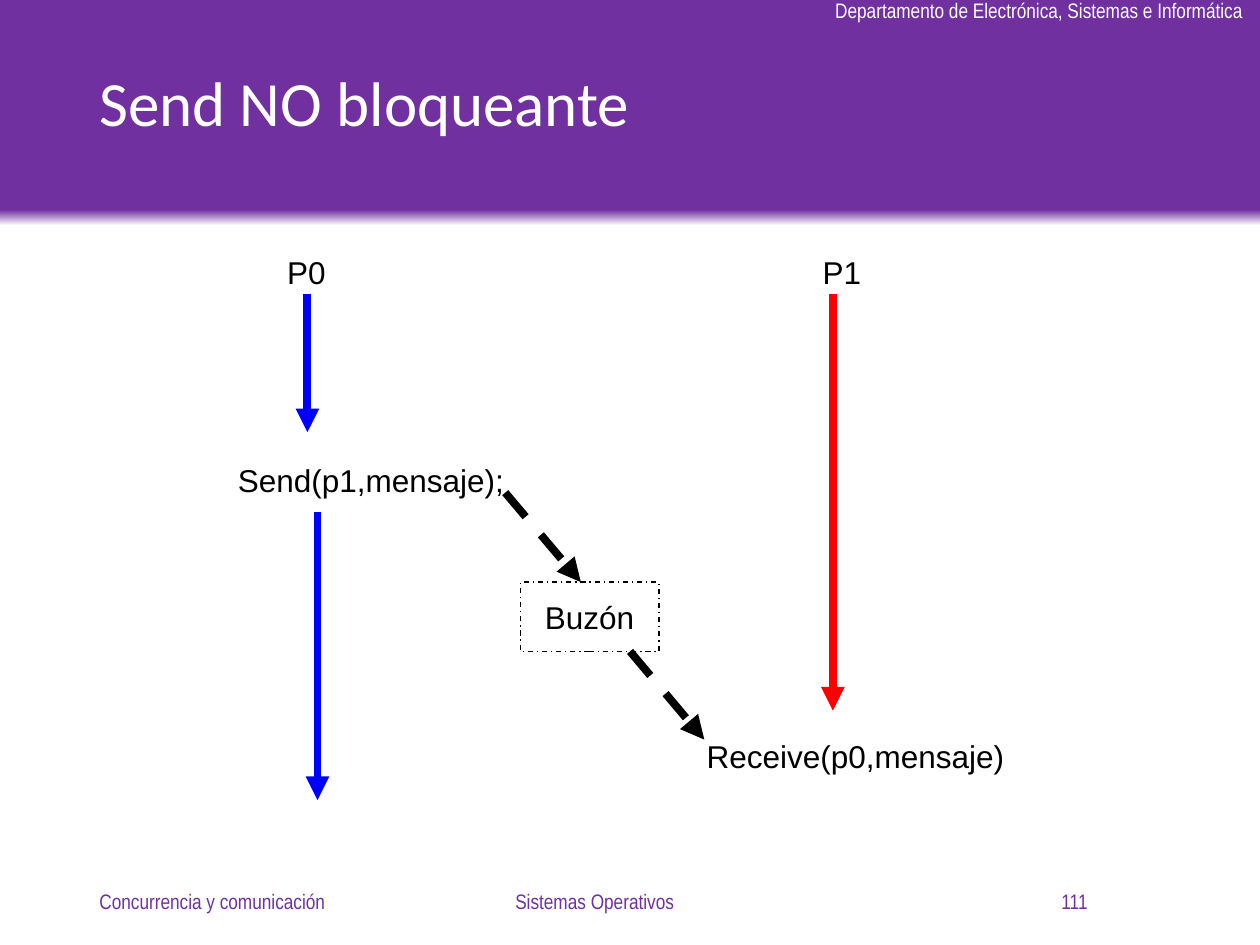
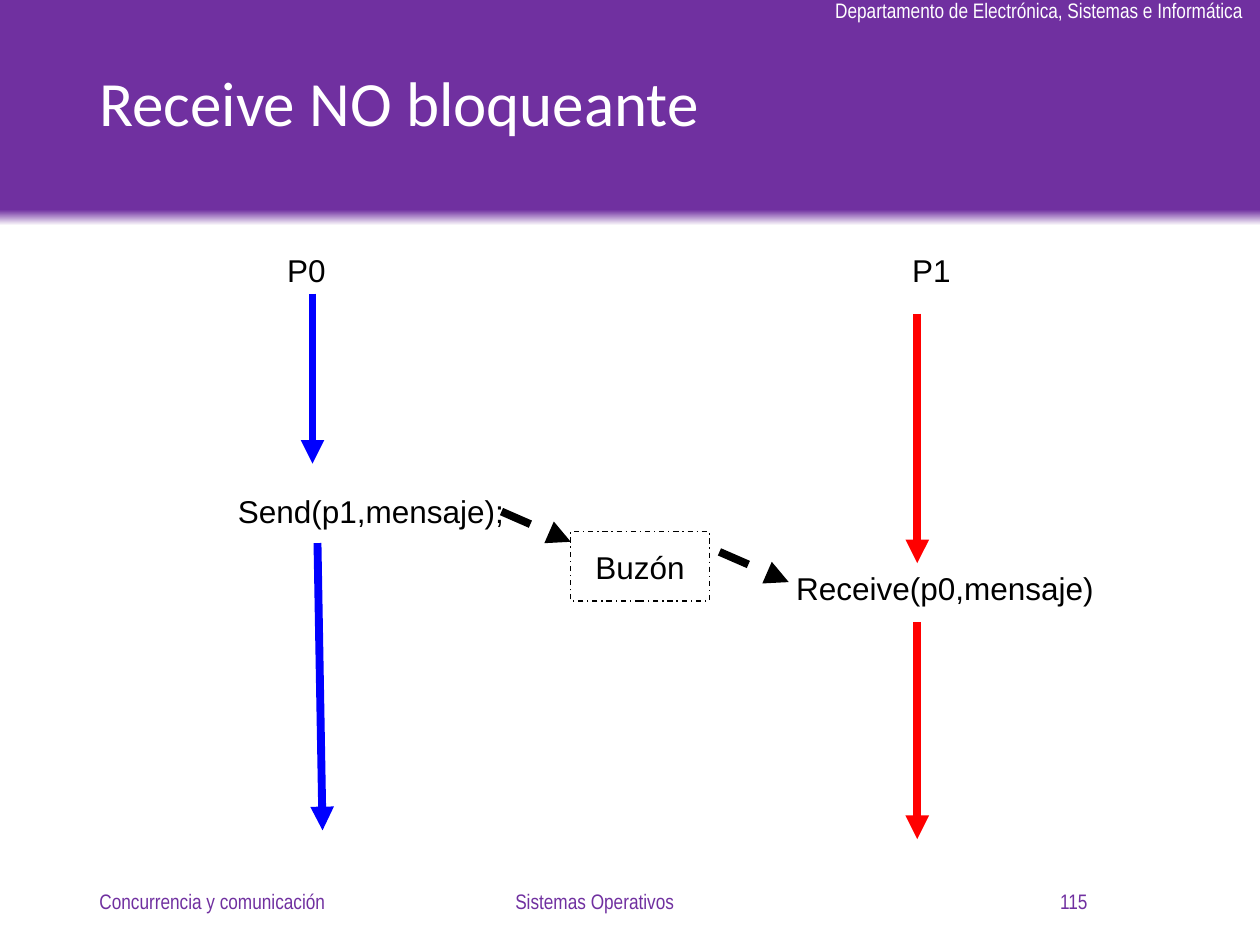
from copy import deepcopy

from lxml import etree
from pptx import Presentation
from pptx.dml.color import RGBColor
from pptx.enum.dml import MSO_LINE
from pptx.enum.shapes import MSO_CONNECTOR, MSO_SHAPE
from pptx.enum.text import MSO_ANCHOR, MSO_AUTO_SIZE, PP_ALIGN
from pptx.oxml.ns import qn
from pptx.util import Inches, Pt

PURPLE = RGBColor(0x70, 0x30, 0xA0)
WHITE = RGBColor(0xFF, 0xFF, 0xFF)
BLACK = RGBColor(0x00, 0x00, 0x00)
BLUE = RGBColor(0x00, 0x00, 0xFF)
RED = RGBColor(0xFF, 0x00, 0x00)

LEFT, CENTER, RIGHT = PP_ALIGN.LEFT, PP_ALIGN.CENTER, PP_ALIGN.RIGHT
TOP, MIDDLE = MSO_ANCHOR.TOP, MSO_ANCHOR.MIDDLE
FIT_SHAPE = MSO_AUTO_SIZE.SHAPE_TO_FIT_TEXT
RECTANGLE, STRAIGHT = MSO_SHAPE.RECTANGLE, MSO_CONNECTOR.STRAIGHT
DASH, DASH_DOT = MSO_LINE.DASH, MSO_LINE.DASH_DOT

TITLE_FONT, SMALL_FONT, BODY_FONT = "Calibri", "Arial Narrow", "Arial"
LABEL_HEIGHT = 0.4
PROCESS_WIDTH, SEND_WIDTH, RECEIVE_WIDTH = 0.51, 2.31, 2.56


class Deck:
    """Holds the shared style and the current slide."""

    def __init__(self):
        self.prs = Presentation()
        self.prs.slide_width, self.prs.slide_height = Inches(10), Inches(7.5)
        self.slide = None

    def new_slide(self, title, number):
        self.slide = self.prs.slides.add_slide(self.prs.slide_layouts[6])
        self.band()
        self.text("Departamento de Electrónica, Sistemas e Informática",
                  6.53, -0.07, 3.48, 0.3, SMALL_FONT, 12, WHITE, grow=True)
        heading = self.text(title, 0.69, 0.15, 8.62, 1.39, TITLE_FONT, 36, WHITE,
                            anchor=MIDDLE)
        heading.text_frame.paragraphs[0].line_spacing = 0.9
        # Footer: topic, course and page number
        for words, left, width, align in (
                ("Concurrencia y comunicación", 0.69, 2.25, LEFT),
                ("Sistemas Operativos", 3.03, 3.38, CENTER),
                (str(number), 6.48, 2.25, RIGHT)):
            self.text(words, left, 6.95, width, 0.4, SMALL_FONT, 12, PURPLE,
                      align, MIDDLE)

    def band(self):
        """Purple header that fades to white at its lower edge."""
        band = self.slide.shapes.add_shape(RECTANGLE, 0, 0, Inches(10), Inches(1.79))
        band.shadow.inherit = False
        band.line.fill.background()
        band.fill.gradient()
        band.fill.gradient_angle = 90
        fade, solid = band.fill.gradient_stops
        fade.position, fade.color.rgb = 0, WHITE
        solid.position, solid.color.rgb = 0.07, PURPLE
        stops = band.element.xpath(".//a:gsLst")[0]
        last = deepcopy(stops[1])
        last.set("pos", "100000")
        stops.append(last)

    def style_text(self, shape, words, font, size, color, align, anchor, wrap):
        frame = shape.text_frame
        frame.text = words
        frame.word_wrap = wrap
        frame.vertical_anchor = anchor
        paragraph = frame.paragraphs[0]
        paragraph.alignment = align
        style = paragraph.runs[0].font
        style.name, style.size, style.color.rgb = font, Pt(size), color

    def text(self, words, left, top, width, height, font, size, color,
             align=LEFT, anchor=TOP, grow=False):
        box = self.slide.shapes.add_textbox(
            Inches(left), Inches(top), Inches(width), Inches(height))
        self.style_text(box, words, font, size, color, align, anchor, not grow)
        if grow:
            box.text_frame.auto_size = FIT_SHAPE
        return box

    def label(self, words, left, top, width):
        self.text(words, left, top, width, LABEL_HEIGHT, BODY_FONT, 18, BLACK,
                  grow=True)

    def mailbox(self, left, top):
        box = self.slide.shapes.add_shape(
            RECTANGLE, Inches(left), Inches(top), Inches(1.1), Inches(0.55))
        box.shadow.inherit = False
        box.fill.background()
        box.line.color.rgb, box.line.width = BLACK, Pt(0.75)
        box.line.dash_style = DASH_DOT
        self.style_text(box, "Buzón", BODY_FONT, 18, BLACK, CENTER, MIDDLE, False)

    def arrow(self, start, end, color, dash=None):
        arrow = self.slide.shapes.add_connector(
            STRAIGHT, *(Inches(value) for value in (*start, *end)))
        arrow.line.color.rgb, arrow.line.width = color, Pt(4.5)
        if dash:
            arrow.line.dash_style = dash
        outline = arrow.element.xpath("./p:spPr/a:ln")[0]
        etree.SubElement(outline, qn("a:tailEnd"), type="triangle")
        etree.SubElement(arrow.element.spPr, qn("a:effectLst"))

    def message(self, start, end):
        self.arrow(start, end, BLACK, DASH)


def build_send(deck):
    deck.new_slide("Send NO bloqueante", 111)
    # Sender
    deck.label("P0", 2.18, 1.96, PROCESS_WIDTH)
    deck.arrow((2.44, 2.33), (2.44, 3.43), BLUE)
    deck.label("Send(p1,mensaje);", 1.79, 3.61, SEND_WIDTH)
    deck.arrow((2.52, 4.06), (2.52, 6.35), BLUE)
    # Receiver
    deck.label("P1", 6.43, 1.96, PROCESS_WIDTH)
    deck.arrow((6.61, 2.33), (6.61, 5.64), RED)
    deck.label("Receive(p0,mensaje)", 5.51, 5.8, RECEIVE_WIDTH)
    # Message through the mailbox
    deck.message((4.01, 3.91), (4.61, 4.62))
    deck.mailbox(4.13, 4.62)
    deck.message((5, 5.17), (5.59, 5.87))


def build_receive(deck):
    deck.new_slide("Receive NO bloqueante", 115)
    # Sender
    deck.label("P0", 2.18, 1.94, PROCESS_WIDTH)
    deck.arrow((2.48, 2.33), (2.48, 3.68), BLUE)
    deck.label("Send(p1,mensaje);", 1.79, 3.86, SEND_WIDTH)
    deck.arrow((2.52, 4.31), (2.56, 6.59), BLUE)
    # Receiver
    deck.label("P1", 7.14, 1.94, PROCESS_WIDTH)
    deck.arrow((7.28, 2.49), (7.28, 4.47), RED)
    deck.label("Receive(p0,mensaje)", 6.22, 4.47, RECEIVE_WIDTH)
    deck.arrow((7.28, 4.94), (7.28, 6.66), RED)
    # Message through the mailbox
    deck.message((3.98, 4.06), (4.53, 4.3))
    deck.mailbox(4.53, 4.22)
    deck.message((5.71, 4.38), (6.26, 4.62))


def main():
    deck = Deck()
    build_send(deck)
    build_receive(deck)
    deck.prs.save("out.pptx")


if __name__ == "__main__":
    main()
